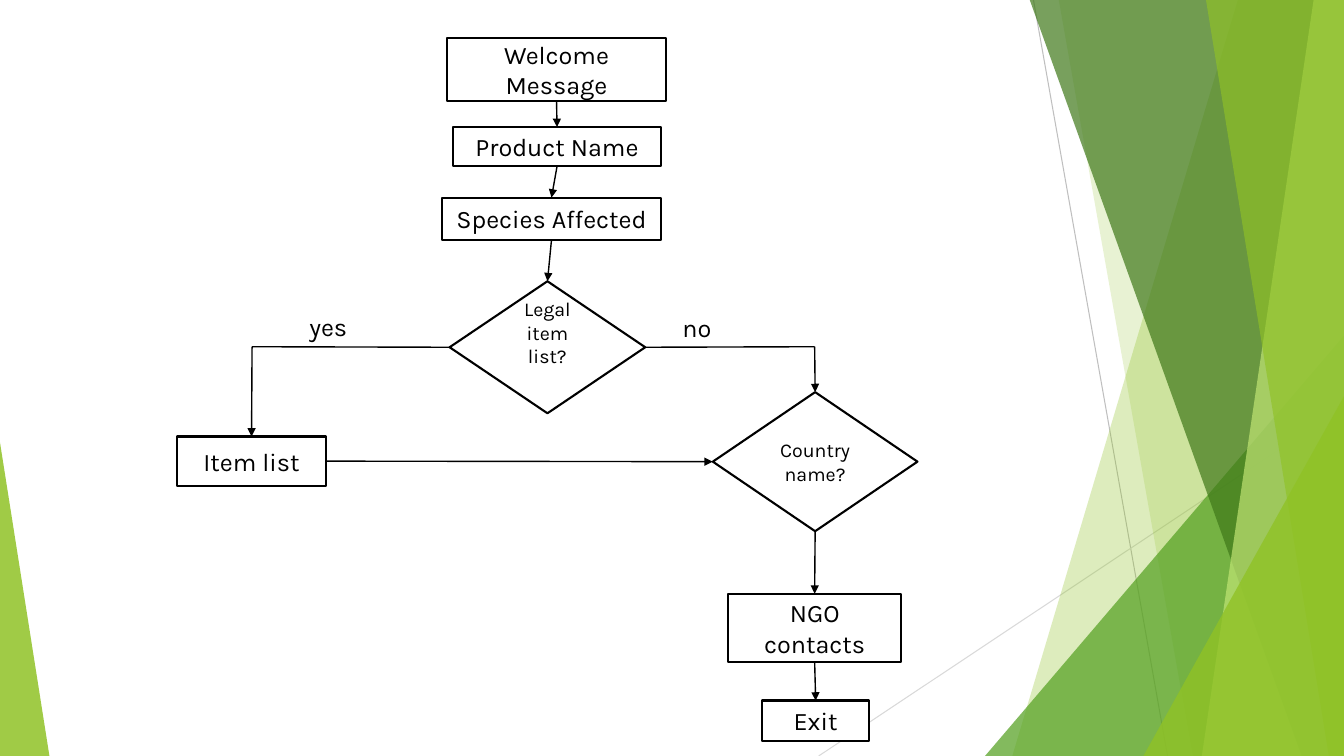
from lxml.etree import SubElement
from pptx import Presentation
from pptx.dml.color import RGBColor
from pptx.enum.shapes import MSO_CONNECTOR, MSO_SHAPE
from pptx.enum.text import MSO_ANCHOR, PP_ALIGN
from pptx.oxml.ns import qn
from pptx.util import Pt

PX = 9144
WIDTH, HEIGHT = 1333, 750
TOP, LEFT, BOTTOM, RIGHT = range(4)

BLACK = RGBColor(0x00, 0x00, 0x00)
WHITE = RGBColor(0xFF, 0xFF, 0xFF)
SILVER = RGBColor(0xBF, 0xBF, 0xBF)
PALE_GREY = RGBColor(0xD9, 0xD9, 0xD9)
LIME = RGBColor(0x90, 0xC2, 0x26)
LEAF = RGBColor(0x54, 0xA0, 0x21)
FOREST = RGBColor(0x3F, 0x78, 0x19)
PALE_LIME = RGBColor(0xC0, 0xE4, 0x74)

FRAME_FORMAT = {
    "word_wrap": True,
    "vertical_anchor": MSO_ANCHOR.MIDDLE,
}
LABEL_FORMAT = {
    "word_wrap": True,
    "vertical_anchor": MSO_ANCHOR.TOP,
}

FACETS = [
    ("band", (1228, 1004), LIME, 30),
    ("band", (1050, 1183), LIME, 20),
    ("triangle", (977, 333, 356, 417, 1), LEAF, 72),
    ("band", (1021, 1291), FOREST, 70),
    ("band", (1303, 1192), PALE_LIME, 70),
    ("band", (1196, 1318), LIME, 65),
    ("triangle", (1134, 393, 199, 357, 1), LIME, 80),
    ("triangle", (0, 439, 49, 311, 0), LIME, 85),
]

STEPS = [
    ("Welcome Message", (443, 38, 218, 62)),
    ("Product Name", (449, 126, 207, 39)),
    ("Species Affected", (438, 196, 218, 42)),
    ("Item list", (176, 433, 147, 49)),
    ("Exit", (756, 695, 106, 40)),
    ("NGO contacts", (722, 589, 172, 68)),
]
DECISIONS = [
    ("Legal item list?", (446, 279, 194, 131), 34),
    ("Country name?", (707, 389, 203, 138), 5),
]
ANSWERS = [("yes", (297, 304, 74, 40)), ("no", (667, 305, 74, 40))]

NO_CORNER, YES_CORNER = (808, 344), (250, 344)
LINKS = [
    (("Welcome Message", BOTTOM), ("Product Name", TOP), True),
    (("Product Name", BOTTOM), ("Species Affected", TOP), True),
    (("Species Affected", BOTTOM), ("Legal item list?", TOP), True),
    (("Legal item list?", RIGHT), NO_CORNER, False),
    (NO_CORNER, ("Country name?", TOP), True),
    (("Country name?", BOTTOM), ("NGO contacts", TOP), True),
    (("NGO contacts", BOTTOM), ("Exit", TOP), True),
    (("Legal item list?", LEFT), YES_CORNER, False),
    (YES_CORNER, ("Item list", TOP), True),
    (("Item list", RIGHT), ("Country name?", LEFT), True),
]


def emu(*lengths):
    """Turn px lengths into EMU."""
    return [length * PX for length in lengths]


def apply_format(target, values):
    """Set each named attribute on the target."""
    for name, value in values.items():
        setattr(target, name, value)


def write_text(box, text, size, frame_format, align):
    """Write one formatted paragraph into a box."""
    apply_format(box.text_frame, frame_format)
    para = box.text_frame.paragraphs[0]
    para.alignment = align
    span = para.add_run()
    span.text = text
    apply_format(span.font, {"name": "Karla", "size": Pt(size)})
    span.font.color.rgb = BLACK


def add_facet(page, kind, geometry, color, opacity):
    """Draw one translucent facet of the green backdrop."""
    if kind == "band":
        top_x, foot_x = geometry
        outline = page.shapes.build_freeform(top_x, -1, scale=PX)
        outline.add_line_segments([(WIDTH, -1), (WIDTH, HEIGHT), (foot_x, HEIGHT)])
        facet = outline.convert_to_shape()
    else:
        *bounds, apex = geometry
        facet = page.shapes.add_shape(MSO_SHAPE.ISOSCELES_TRIANGLE, *emu(*bounds))
        facet.adjustments[0] = apex
    facet.shadow.inherit = False
    facet.line.fill.background()
    facet.fill.solid()
    facet.fill.fore_color.rgb = color
    tint = facet.fill._xPr.find(".//" + qn("a:srgbClr"))
    SubElement(tint, qn("a:alpha"), val=str(opacity * 1000))


def add_node(page, preset, text, bounds, size):
    """Draw one outlined node of the flowchart."""
    box = page.shapes.add_shape(preset, *emu(*bounds))
    box.shadow.inherit = False
    box.fill.solid()
    box.fill.fore_color.rgb = WHITE
    box.line.color.rgb = BLACK
    box.line.width = Pt(1.5)
    write_text(box, text, size, FRAME_FORMAT, PP_ALIGN.CENTER)
    return box


def add_answer(page, text, bounds):
    """Write the answer beside a branch."""
    box = page.shapes.add_textbox(*emu(*bounds))
    write_text(box, text, 18, LABEL_FORMAT, PP_ALIGN.LEFT)


def add_line(page, start, end, color, weight):
    """Draw a straight line between two points."""
    line = page.shapes.add_connector(MSO_CONNECTOR.STRAIGHT, *emu(*start, *end))
    line.line.color.rgb = color
    line.line.width = Pt(weight)
    SubElement(line._element.spPr, qn("a:effectLst"))
    return line


def add_link(page, nodes, start, end, arrow):
    """Link nodes or corner points, with an arrowhead if wanted."""
    points = [(0, 0) if place[0] in nodes else place for place in (start, end)]
    link = add_line(page, *points, BLACK, 1)
    for place, join in ((start, link.begin_connect), (end, link.end_connect)):
        if place[0] in nodes:
            join(nodes[place[0]], place[1])
    if arrow:
        SubElement(link.line._get_or_add_ln(), qn("a:tailEnd"), type="triangle")


def main():
    """Build the flowchart slide."""
    deck = Presentation()
    apply_format(deck, {"slide_width": WIDTH * PX, "slide_height": HEIGHT * PX})
    page = deck.slides.add_slide(deck.slide_layouts[6])
    add_line(page, (1025, 0), (1158, HEIGHT), SILVER, 0.75)
    add_line(page, (WIDTH, 403), (812, HEIGHT), PALE_GREY, 0.75)
    for facet in FACETS:
        add_facet(page, *facet)
    nodes = {}
    for text, bounds in STEPS:
        nodes[text] = add_node(page, MSO_SHAPE.RECTANGLE, text, bounds, 18)
    for text, bounds, inset in DECISIONS:
        nodes[text] = add_node(page, MSO_SHAPE.DIAMOND, text, bounds, 14)
        nodes[text].text_frame.margin_bottom = inset * PX
    for link in LINKS:
        add_link(page, nodes, *link)
    for answer in ANSWERS:
        add_answer(page, *answer)
    deck.save("out.pptx")


if __name__ == "__main__":
    main()
